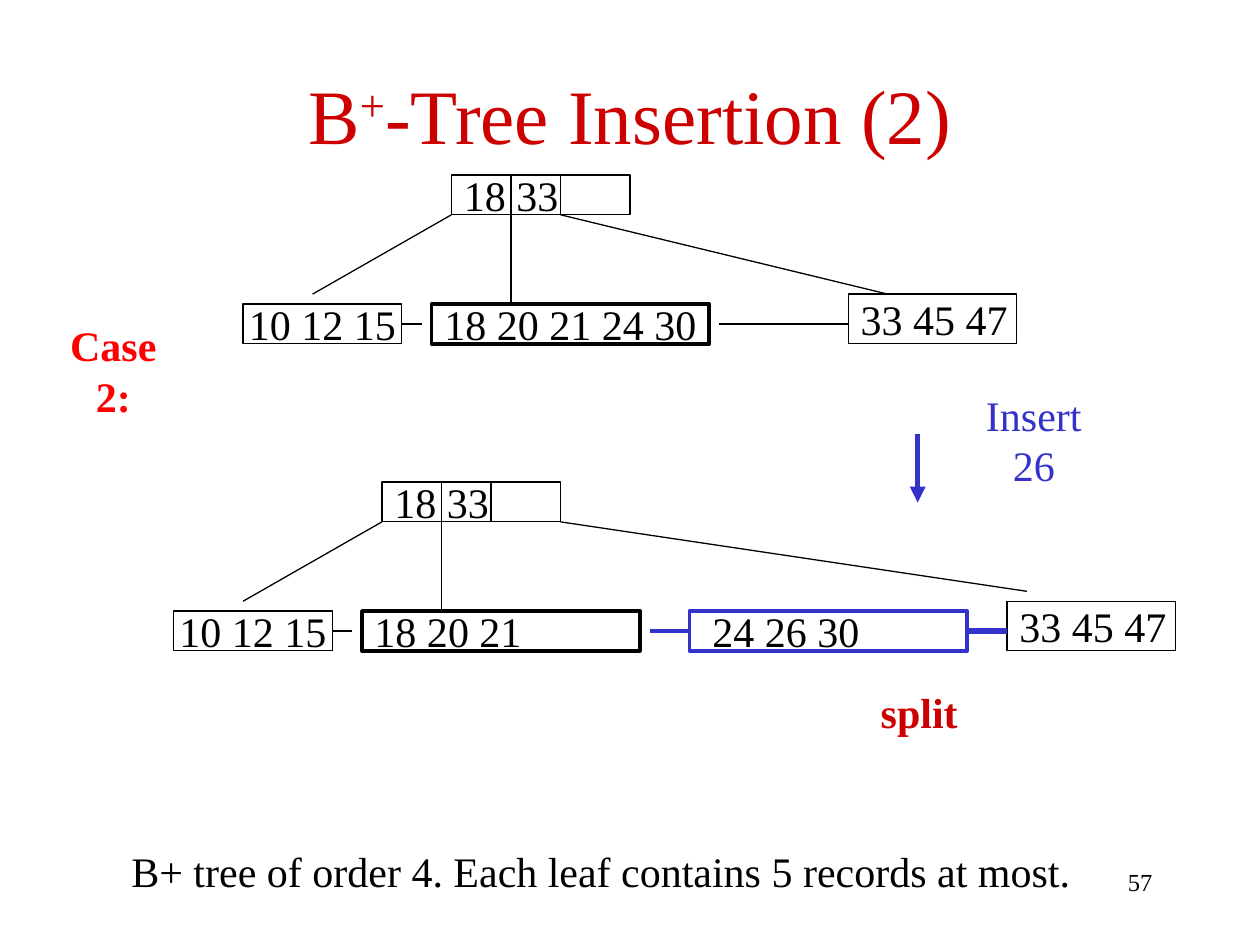
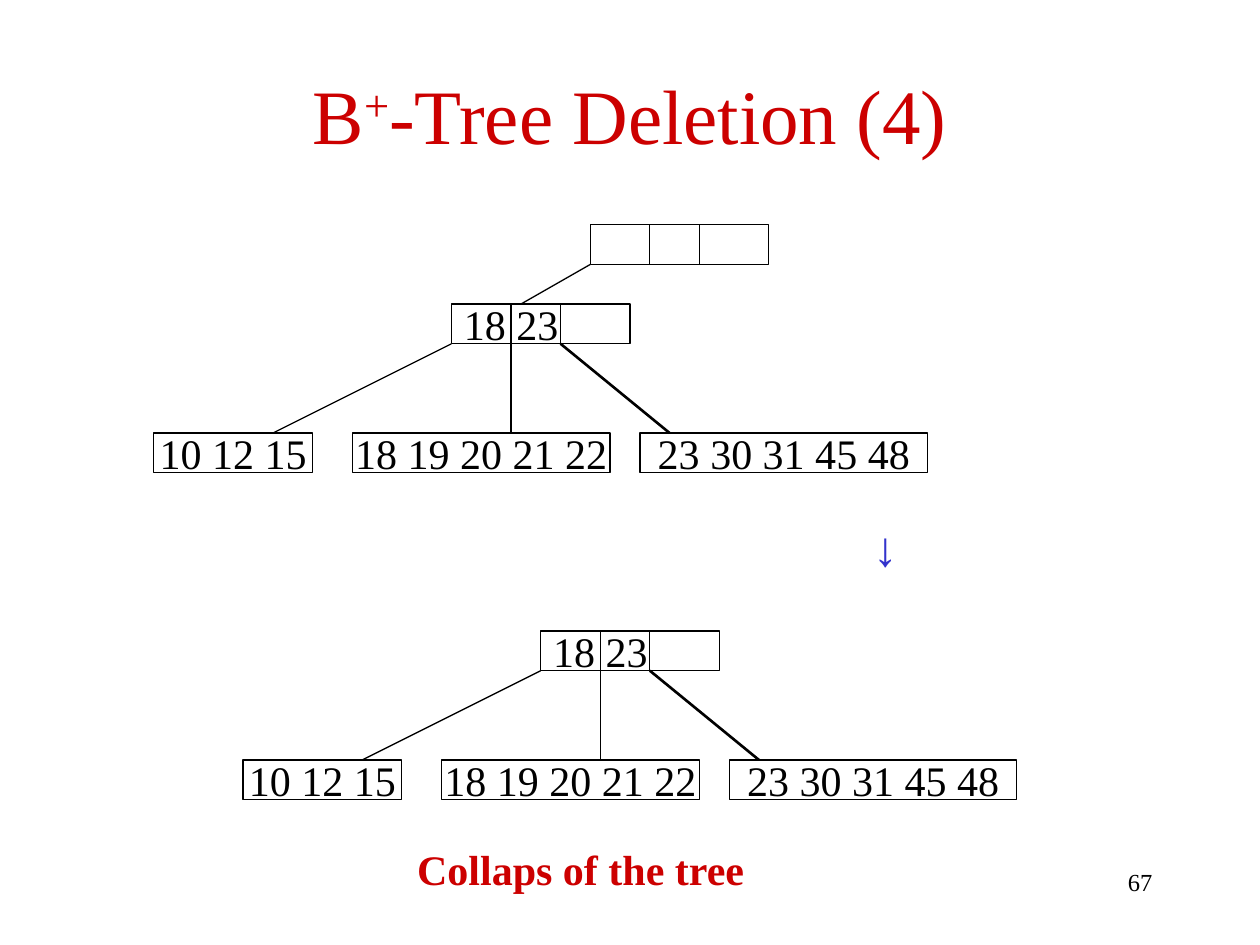
"""Build two slides on insertion into and deletion from B+ trees."""
from lxml import etree
from pptx import Presentation
from pptx.dml.color import RGBColor
from pptx.enum.shapes import MSO_CONNECTOR, MSO_SHAPE
from pptx.enum.text import MSO_ANCHOR, PP_ALIGN as Align
from pptx.oxml.ns import qn
from pptx.util import Cm, Pt

FONT = "Times New Roman"
BLACK, RED, BRIGHT_RED, BLUE = "000000", "CC0000", "FF0000", "3333CC"
THIN, MEDIUM, THICK, HEAVY = 0.75, 1.5, 2.25, 3
TITLE_ONLY = 5
TOP, LEFT, BOTTOM, RIGHT = range(4)
NODE_WIDTH, NODE_HEIGHT = 3.6, 0.8
DIVIDERS = (1.2, 2.2)
LEAF_DROP = 2.6


def color(hex_string):
    """Turn a hex string into a colour."""
    return RGBColor.from_string(hex_string)


def add_run(paragraph, text, size=24, hex_color=BLACK, bold=False, baseline=0):
    """Append one formatted run to a paragraph."""
    run = paragraph.add_run()
    run.text = text
    run.font.name = FONT
    run.font.size = Pt(size)
    run.font.bold = bold
    run.font.color.rgb = color(hex_color)
    if baseline:
        run._r.get_or_add_rPr().set("baseline", str(baseline * 1000))


def add_label(slide, box, text, align=Align.CENTER, wrap=False, **style):
    """Add a text box holding a single run."""
    frame = slide.shapes.add_textbox(*map(Cm, box)).text_frame
    frame.word_wrap = wrap
    paragraph = frame.paragraphs[0]
    paragraph.alignment = align
    add_run(paragraph, text, **style)


def add_box(slide, box, text="", align=Align.CENTER, hex_color=BLACK, width=THIN, indent=0.25):
    """Add an outlined rectangle with the keys of a node or leaf."""
    shape = slide.shapes.add_shape(MSO_SHAPE.RECTANGLE, *map(Cm, box))
    shape.shadow.inherit = False
    shape.fill.background()
    shape.line.color.rgb = color(hex_color)
    shape.line.width = Pt(width)
    frame = shape.text_frame
    frame.word_wrap = False
    frame.vertical_anchor = MSO_ANCHOR.MIDDLE
    frame.margin_left = Cm(indent)
    if text:
        paragraph = frame.paragraphs[0]
        paragraph.alignment = align
        add_run(paragraph, text)
    return shape


def add_line(slide, start, end, hex_color=BLACK, width=THIN, arrow=False):
    """Add a straight line between two points."""
    line = slide.shapes.add_connector(MSO_CONNECTOR.STRAIGHT, *map(Cm, (*start, *end)))
    line.line.color.rgb = color(hex_color)
    line.line.width = Pt(width)
    if arrow:
        etree.SubElement(line.line._get_or_add_ln(), qn("a:tailEnd"), type="triangle")
    etree.SubElement(line._element.spPr, qn("a:effectLst"))
    return line


def add_node(slide, x, y, keys=""):
    """Add an inner node divided into three cells."""
    add_box(slide, (x, y, NODE_WIDTH, NODE_HEIGHT), keys, Align.LEFT)
    for offset in DIVIDERS:
        add_line(slide, (x + offset, y), (x + offset, y + NODE_HEIGHT))


def add_branch(slide, x, y, start, end, drop=LEAF_DROP, width=THIN):
    """Join the foot of the node at x, y to a point below it."""
    add_line(slide, (x + start, y + NODE_HEIGHT), (x + end, y + drop), width=width)


def add_slide(presentation, operation, number):
    """Add a slide with its title and page number."""
    slide = presentation.slides.add_slide(presentation.slide_layouts[TITLE_ONLY])
    title = slide.shapes.title
    title.left, title.top, title.width, title.height = map(Cm, (1.27, 1.02, 22.86, 2.54))
    title.text_frame.vertical_anchor = MSO_ANCHOR.MIDDLE
    paragraph = title.text_frame.paragraphs[0]
    paragraph.alignment = Align.CENTER
    for text, baseline in (("B", 0), ("+", 30), (f"-Tree {operation}", 0)):
        add_run(paragraph, text, 44, RED, baseline=baseline)
    add_label(slide, (18.2, 17.35, 5.28, 1.27), number, Align.RIGHT, True, size=14)
    return slide


def add_insertion_tree(slide, x, y, middle_keys, middle_align, last_x, branch):
    """Add a tree whose leaves are linked, and return its middle and last leaves."""
    leaf_y = y + LEAF_DROP
    link_y = leaf_y + NODE_HEIGHT / 2
    first = add_box(slide, (x - 4.2, leaf_y, 3.2, NODE_HEIGHT), "10 12 15")
    add_box(slide, (x - 0.4, leaf_y, 5.6, NODE_HEIGHT), middle_keys, middle_align, width=THICK)
    add_node(slide, x, y, "18 33")
    add_branch(slide, x, y, 0, -2.8, 2.4)
    add_branch(slide, x, y, DIVIDERS[0], DIVIDERS[0])
    add_branch(slide, x, y, *branch)
    add_box(slide, (x + last_x, y + 2.4, 3.4, 1), "33 45 47", Align.LEFT)
    link = add_line(slide, (x - 1, link_y), (x - 0.6, link_y))
    link.begin_connect(first, RIGHT)


def add_deletion_tree(slide, x, y):
    """Add the tree that remains after the deletion."""
    leaves = ((-6, 3.2, "10 12 15"), (-2, 5.2, "18 19 20 21 22"), (3.8, 5.8, "23 30 31 45 48"))
    for offset, width, keys in leaves:
        add_box(slide, (x + offset, y + LEAF_DROP, width, NODE_HEIGHT), keys)
    add_node(slide, x, y, "18 23")
    for start, end, width in ((0, -3.6, THIN), (1.2, 1.2, THIN), (2.2, 4.4, MEDIUM)):
        add_branch(slide, x, y, start, end, width=width)


def build_insertion(presentation):
    """Show a full leaf being split by an insertion."""
    slide = add_slide(presentation, "Insertion (2)", "57")
    add_label(slide, (0.71, 6.32, 3.15, 1.27), "Case 2:", hex_color=BRIGHT_RED, bold=True)
    add_line(slide, (18.5, 8.74), (18.5, 10.13), BLUE, HEAVY, arrow=True)
    add_label(slide, (19.1, 7.72, 3.48, 1.27), "Insert 26", hex_color=BLUE)

    add_insertion_tree(slide, 9.1, 3.53, "18 20 21 24 30", Align.CENTER, 8, (2.2, 8.8, 2.4))
    add_line(slide, (14.5, 6.53), (17.1, 6.53))

    add_insertion_tree(slide, 7.7, 9.72, "18 20 21", Align.LEFT, 12.6, (3.6, 13, 2.2))
    split_leaf = add_box(slide, (13.9, 12.32, 5.6, NODE_HEIGHT), "24 26 30", Align.LEFT,
                         BLUE, THICK, indent=0.46)
    link = add_line(slide, (13.1, 12.72), (13.9, 12.72), BLUE, THICK)
    link.end_connect(split_leaf, LEFT)
    link = add_line(slide, (19.5, 12.72), (20.3, 12.72), BLUE, HEAVY)
    link.begin_connect(split_leaf, RIGHT)

    add_label(slide, (17.5, 13.72, 2.06, 1.27), "split", hex_color=RED, bold=True)
    add_label(slide, (2.3, 16.92, 19.63, 1.27),
              "B+ tree of order 4. Each leaf contains 5 records at most.")


def build_deletion(presentation):
    """Show a tree losing its empty root."""
    slide = add_slide(presentation, "Deletion (4)", "67")
    add_deletion_tree(slide, 9.1, 6.13)
    add_node(slide, 11.9, 4.53)
    add_branch(slide, 11.9, 4.53, 0, -1.4, 1.6)
    add_deletion_tree(slide, 10.9, 12.72)
    add_label(slide, (14.5, 10.31, 6.7, 1.45), "↓", wrap=True, size=28, hex_color=BLUE, bold=True)
    add_label(slide, (8.15, 16.87, 7.11, 1.27), "Collaps of the tree", hex_color=RED, bold=True)


def main():
    """Build and save the presentation."""
    presentation = Presentation()
    presentation.slide_width, presentation.slide_height = Cm(25.4), Cm(19.05)
    build_insertion(presentation)
    build_deletion(presentation)
    presentation.save("out.pptx")


if __name__ == "__main__":
    main()
